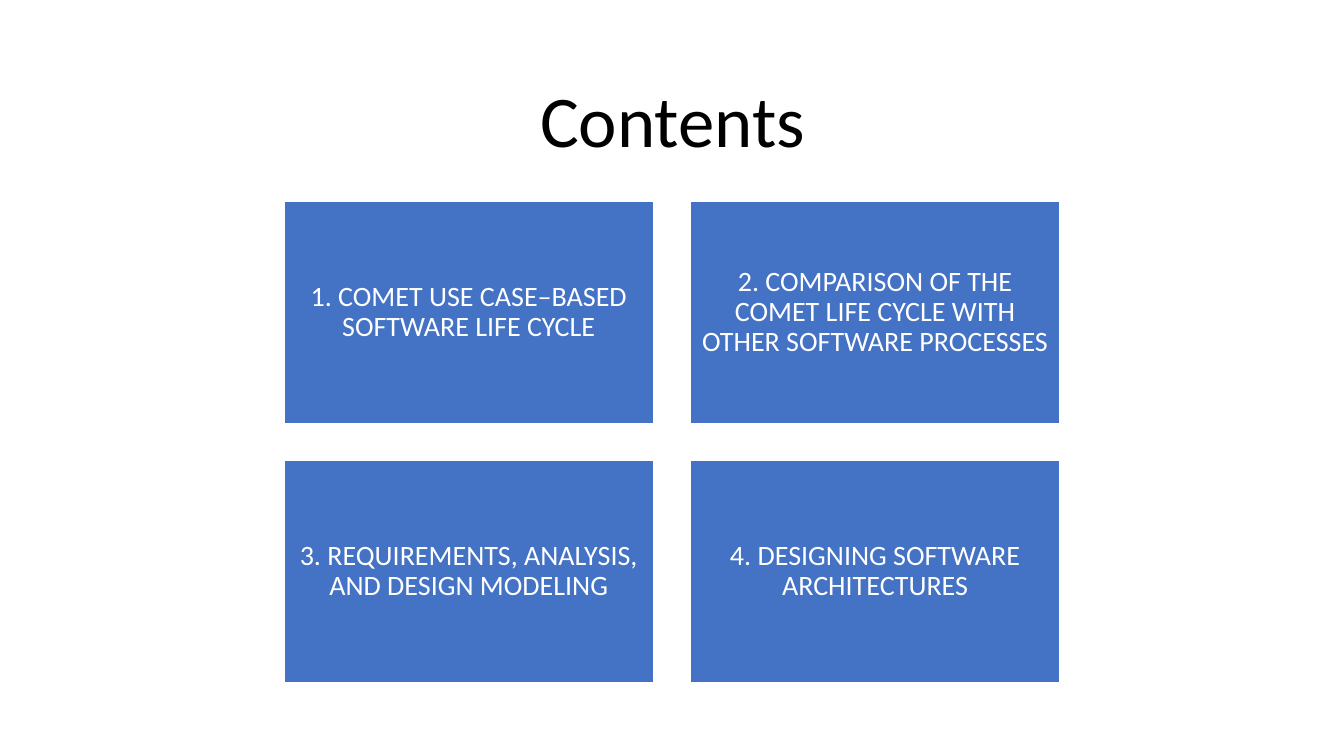
import pptx
import pptx.dml.color
import pptx.enum.shapes
import pptx.enum.text
import pptx.util
from pptx.util import Inches

TITLE = "Contents"
TOPICS = [
    "1. COMET USE CASE–BASED SOFTWARE LIFE CYCLE",
    "2. COMPARISON OF THE COMET LIFE CYCLE WITH\nOTHER SOFTWARE PROCESSES",
    "3. REQUIREMENTS, ANALYSIS, AND DESIGN MODELING",
    "4. DESIGNING SOFTWARE ARCHITECTURES",
]
COLORS = {"title": "000000", "tile": "4472C4", "white": "FFFFFF"}

# Tile grid, in inches
COLUMNS = 2
GRID_LEFT, GRID_TOP = 2.82, 2
TILE_WIDTH, TILE_HEIGHT = 3.66, 2.2
GAP = 0.37
TILE_INSET = 0.08


def color(name):
    return pptx.dml.color.RGBColor.from_string(COLORS[name])


def write(box, text, size, color_name):
    frame = box.text_frame
    frame.word_wrap = True
    frame.vertical_anchor = pptx.enum.text.MSO_ANCHOR.MIDDLE
    para = frame.paragraphs[0]
    para.text = text
    para.alignment = pptx.enum.text.PP_ALIGN.CENTER
    para.line_spacing = 0.9
    para.font.name = "Calibri"
    para.font.size = pptx.util.Pt(size)
    para.font.color.rgb = color(color_name)


def add_tile(page, index, topic):
    row, column = divmod(index, COLUMNS)
    tile = page.shapes.add_shape(
        pptx.enum.shapes.MSO_SHAPE.RECTANGLE,
        Inches(GRID_LEFT + column * (TILE_WIDTH + GAP)),
        Inches(GRID_TOP + row * (TILE_HEIGHT + GAP)),
        Inches(TILE_WIDTH), Inches(TILE_HEIGHT))
    tile.shadow.inherit = False
    tile.fill.solid()
    tile.fill.fore_color.rgb = color("tile")
    tile.line.color.rgb = color("white")
    tile.line.width = pptx.util.Pt(1)
    frame = tile.text_frame
    frame.margin_left = frame.margin_right = Inches(TILE_INSET)
    frame.margin_top = frame.margin_bottom = Inches(TILE_INSET)
    write(tile, topic, 20, "white")


def main():
    deck = pptx.Presentation()
    deck.slide_width, deck.slide_height = Inches(13.33), Inches(7.5)
    page = deck.slides.add_slide(deck.slide_layouts[6])

    # Title
    title = page.shapes.add_textbox(
        Inches(0.92), Inches(0.61), Inches(11.5), Inches(1.24))
    write(title, TITLE, 52, "title")

    # Topic tiles
    for index, topic in enumerate(TOPICS):
        add_tile(page, index, topic)

    deck.save("out.pptx")


if __name__ == "__main__":
    main()
